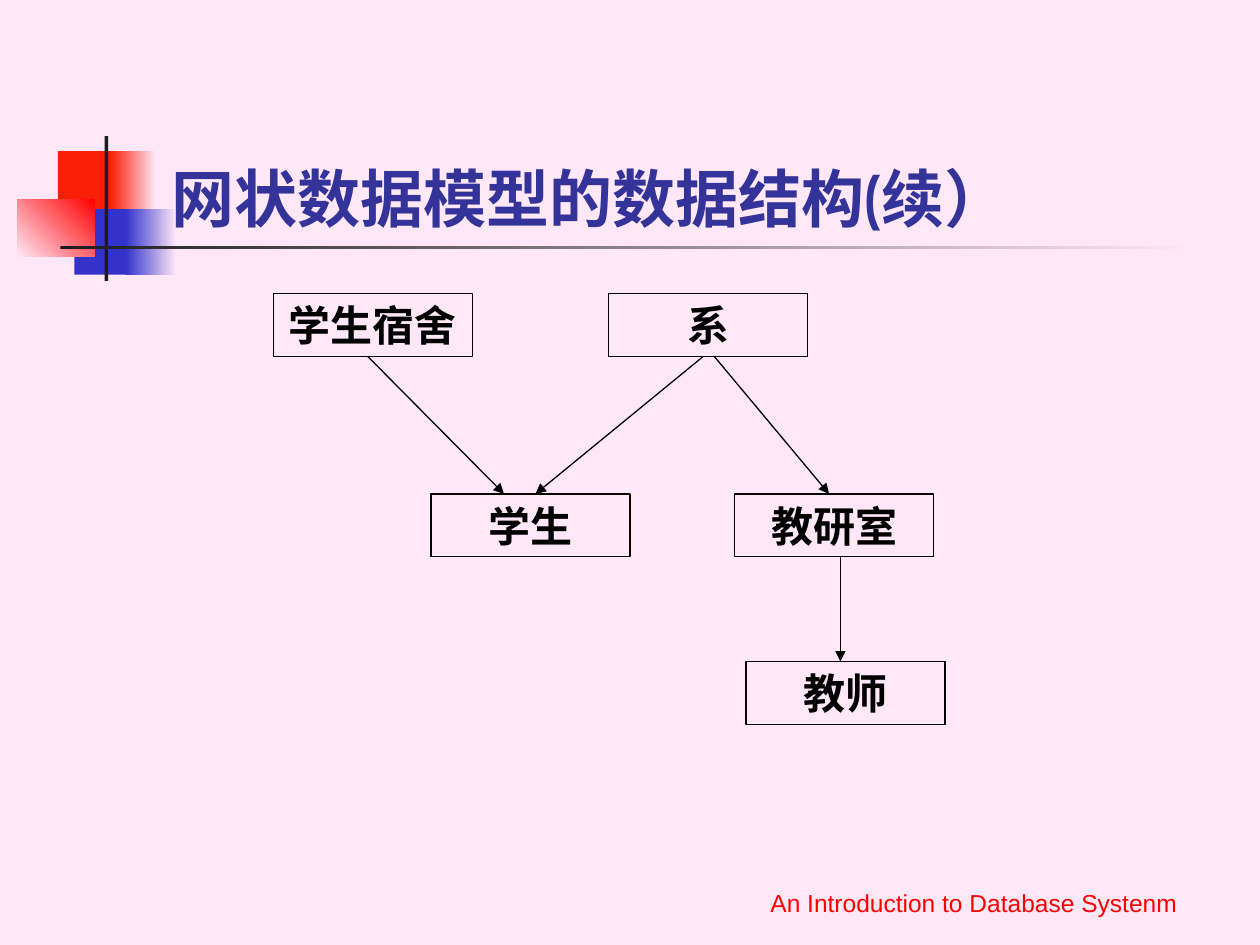
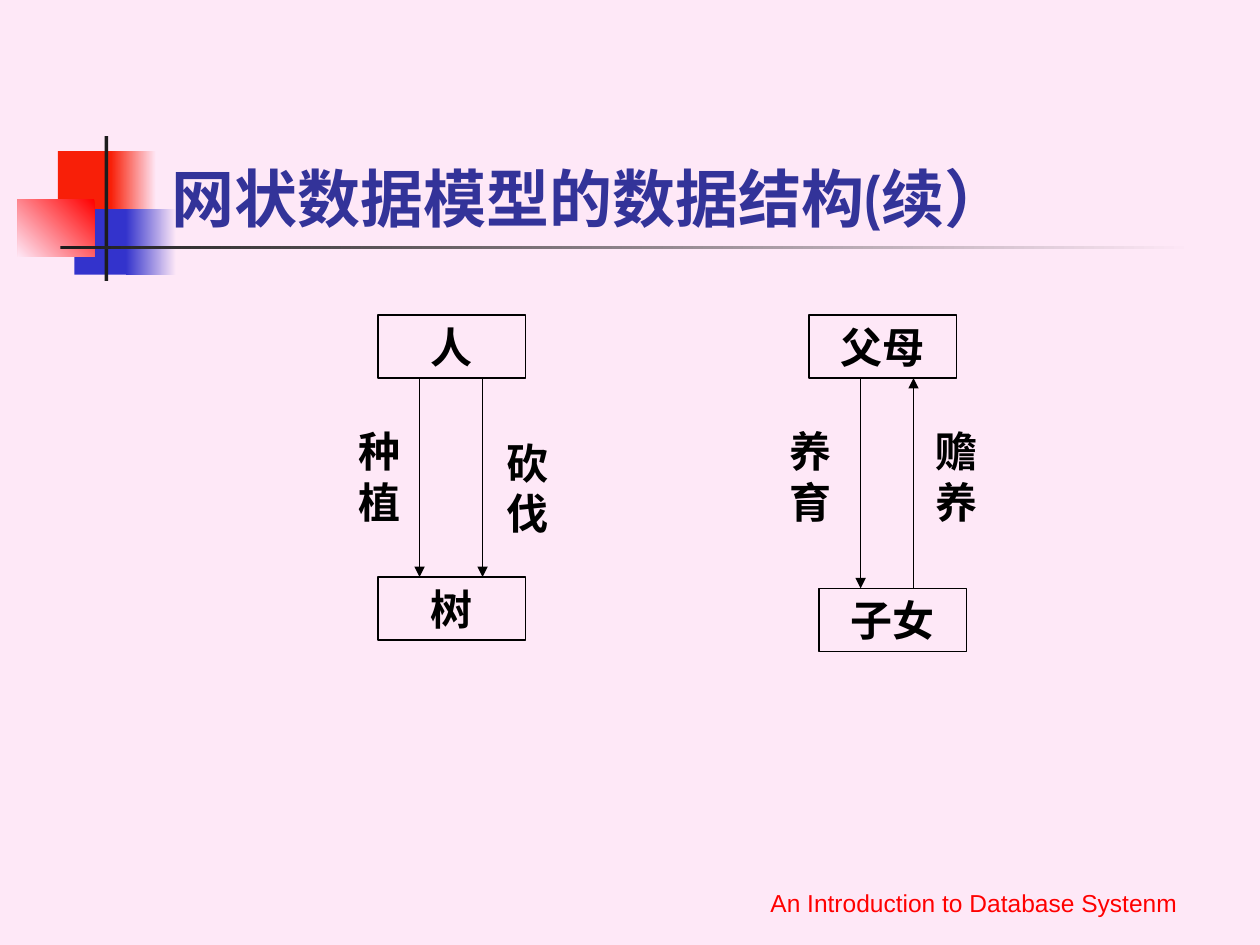
"""Build two slides on the data structure of the network data model."""
from lxml import etree
from pptx import Presentation
from pptx.dml.color import RGBColor
from pptx.enum.shapes import MSO_CONNECTOR, MSO_SHAPE
from pptx.enum.text import MSO_ANCHOR, MSO_AUTO_SIZE, PP_ALIGN
from pptx.oxml.ns import qn
from pptx.util import Inches, Pt

RECTANGLE, STRAIGHT = MSO_SHAPE.RECTANGLE, MSO_CONNECTOR.STRAIGHT
TOP, BOTTOM = MSO_ANCHOR.TOP, MSO_ANCHOR.BOTTOM
LEFT, CENTER = PP_ALIGN.LEFT, PP_ALIGN.CENTER
FIXED, GROW = MSO_AUTO_SIZE.NONE, MSO_AUTO_SIZE.SHAPE_TO_FIT_TEXT

PINK = RGBColor(0xFE, 0xE8, 0xF7)
VERMILION = RGBColor(0xF8, 0x1F, 0x08)
RED = RGBColor(0xFF, 0x00, 0x00)
BLUE = RGBColor(0x33, 0x33, 0xCC)
NAVY = RGBColor(0x33, 0x33, 0x99)
CHARCOAL = RGBColor(0x1C, 0x1C, 0x1C)
BLACK = RGBColor(0x00, 0x00, 0x00)

TITLE = "网状数据模型的数据结构(续）"
FOOTER = "An Introduction to Database Systenm"
BOX_HEIGHT = 0.5
LABEL_SIZE = (0.5, 0.9)

# left, top, width, height, colour, fade angle
ORNAMENT = [
    (0.46, 1.2, 0.48, 0.52, VERMILION, None),
    (0.88, 1.2, 0.36, 0.52, VERMILION, 0),
    (0.59, 1.66, 0.46, 0.52, BLUE, None),
    (1, 1.66, 0.4, 0.52, BLUE, 0),
    (0.14, 1.58, 0.61, 0.46, RED, 225),
    (0.83, 1.08, 0.03, 1.15, CHARCOAL, None),
    (0.48, 1.95, 9, 0.03, CHARCOAL, 0),
]

DIAGRAMS = [
    {
        "box_width": 1.58,
        "arrow_width": 0.75,
        "records": [("学生宿舍", 2.17, 2.33), ("学生", 3.42, 3.92), ("教研室", 5.83, 3.92),
                    ("系", 4.83, 2.33), ("教师", 5.92, 5.25)],
        "arrows": [(2.92, 2.83, 4, 3.92), (5.58, 2.83, 4.25, 3.92),
                   (5.67, 2.83, 6.58, 3.92), (6.67, 4.42, 6.67, 5.25)],
        "relations": [],
    },
    {
        "box_width": 1.17,
        "arrow_width": 1,
        "records": [("父母", 6.42, 2.5), ("人", 3, 2.5), ("子女", 6.5, 4.67), ("树", 3, 4.58)],
        "arrows": [(3.33, 3, 3.33, 4.58), (3.83, 3, 3.83, 4.58),
                   (6.83, 3, 6.83, 4.67), (7.25, 4.67, 7.25, 3)],
        "relations": [("种植", 2.75, 3.33), ("砍伐", 3.92, 3.42),
                      ("养育", 6.17, 3.33), ("赡养", 7.33, 3.33)],
    },
]


def write_text(shape, text, size=24, font="Times New Roman", color=BLACK, bold=True,
               align=CENTER, anchor=TOP, fit=GROW):
    frame = shape.text_frame
    frame.text = text
    frame.word_wrap = True
    frame.auto_size = fit
    frame.vertical_anchor = anchor
    paragraph = frame.paragraphs[0]
    paragraph.alignment = align
    paragraph.font.size = Pt(size)
    paragraph.font.name = font
    paragraph.font.bold = bold
    paragraph.font.color.rgb = color


prs = Presentation()
prs.slide_width, prs.slide_height = Inches(10), Inches(7.5)
backdrop = prs.slide_master.background.fill
backdrop.solid()
backdrop.fore_color.rgb = PINK

for diagram in DIAGRAMS:
    slide = prs.slides.add_slide(prs.slide_layouts[5])
    shapes = slide.shapes

    for *place, color, fade_angle in ORNAMENT:
        ornament = shapes.add_shape(RECTANGLE, *map(Inches, place))
        ornament.shadow.inherit = False
        ornament.line.fill.background()
        if fade_angle is None:
            ornament.fill.solid()
            ornament.fill.fore_color.rgb = color
        else:
            ornament.fill.gradient()
            ornament.fill.gradient_angle = fade_angle
            for stop, stop_color in zip(ornament.fill.gradient_stops, (color, PINK)):
                stop.color.rgb = stop_color

    title = shapes.title
    title.left, title.top = Inches(1.26), Inches(0.67)
    title.width, title.height = Inches(8.52), Inches(1.25)
    write_text(title, TITLE, size=36, font="Cabin", color=NAVY, align=LEFT, anchor=BOTTOM, fit=FIXED)
    shapes.element.append(title.element)

    for name, left, top in diagram["records"]:
        record = shapes.add_shape(RECTANGLE, Inches(left), Inches(top),
                                  Inches(diagram["box_width"]), Inches(BOX_HEIGHT))
        record.shadow.inherit = False
        record.fill.background()
        record.line.color.rgb = BLACK
        record.line.width = Pt(0.75)
        write_text(record, name)

    for ends in diagram["arrows"]:
        arrow = shapes.add_connector(STRAIGHT, *map(Inches, ends))
        arrow.line.color.rgb = BLACK
        arrow.line.width = Pt(diagram["arrow_width"])
        etree.SubElement(arrow.line._get_or_add_ln(), qn("a:tailEnd"), type="triangle")
        etree.SubElement(arrow.element.spPr, qn("a:effectLst"))

    for name, left, top in diagram["relations"]:
        relation = shapes.add_textbox(Inches(left), Inches(top), *map(Inches, LABEL_SIZE))
        write_text(relation, name)

    footer = shapes.add_textbox(Inches(5.71), Inches(6.83), Inches(4.04), Inches(0.5))
    write_text(footer, FOOTER, size=14, font="Arial", color=RED, bold=False, anchor=BOTTOM, fit=FIXED)

prs.save("out.pptx")
